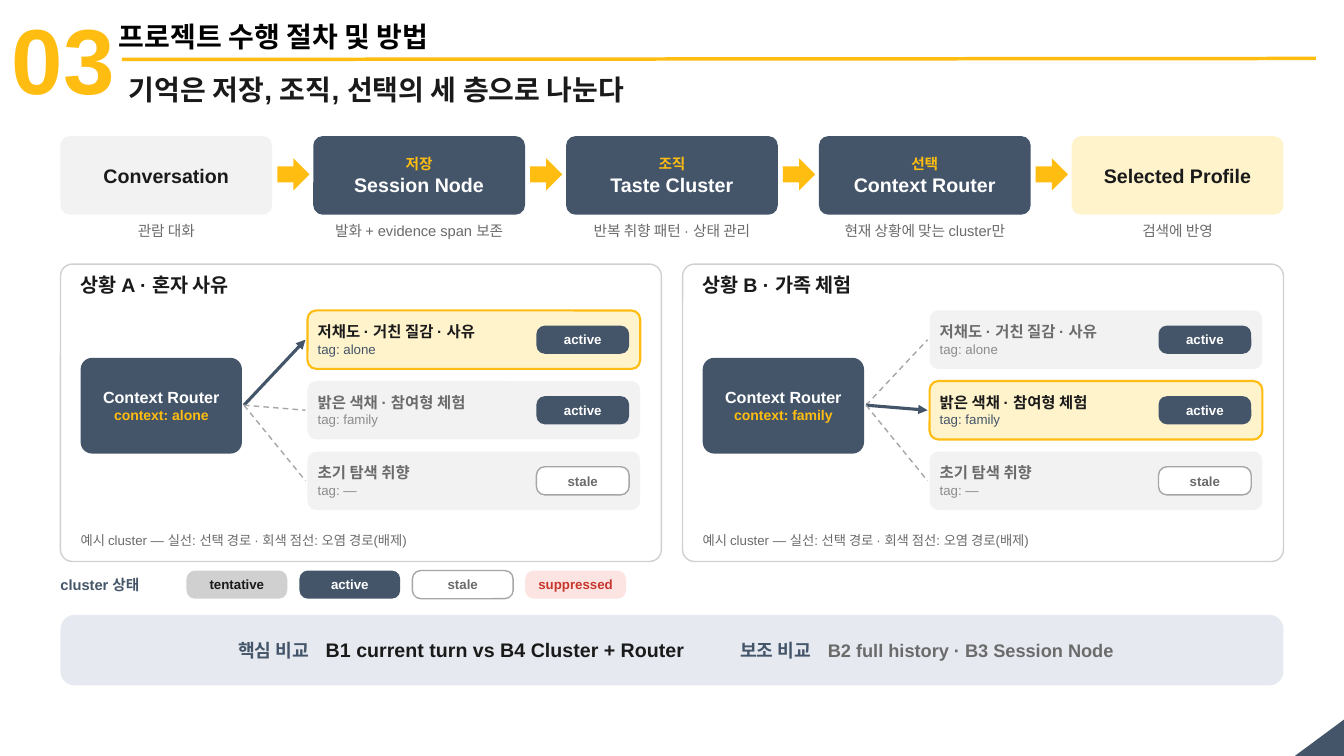
"""Builds the slide on the three memory layers: storing, organising and selecting."""
from dataclasses import dataclass

from lxml import etree
from pptx import Presentation
from pptx.dml.color import RGBColor
from pptx.enum.dml import MSO_LINE
from pptx.enum.shapes import MSO_CONNECTOR, MSO_SHAPE
from pptx.enum.text import MSO_ANCHOR, MSO_AUTO_SIZE, PP_ALIGN
from pptx.oxml.ns import qn
from pptx.util import Inches, Pt

ROUND, ARROW, CORNER = MSO_SHAPE.ROUNDED_RECTANGLE, MSO_SHAPE.RIGHT_ARROW, MSO_SHAPE.RIGHT_TRIANGLE
STRAIGHT, DASH, NO_FIT = MSO_CONNECTOR.STRAIGHT, MSO_LINE.DASH, MSO_AUTO_SIZE.NONE
TOP, MIDDLE = MSO_ANCHOR.TOP, MSO_ANCHOR.MIDDLE
LEFT, CENTER = PP_ALIGN.LEFT, PP_ALIGN.CENTER


@dataclass(frozen=True)
class Theme:
    """Colours, font and type sizes."""
    font: str = "Arial"
    black: str = "000000"
    ink: str = "1A1A1A"
    navy: str = "445569"
    gold: str = "FFBD11"
    cream: str = "FFF3CC"
    white: str = "FFFFFF"
    pale: str = "F2F2F2"
    border: str = "D0D0D0"
    rule: str = "A6A6A6"
    muted: str = "6B6B6B"
    faint: str = "8C8C8C"
    blush: str = "FBE4E1"
    red: str = "C8372D"
    mist: str = "E6EAF0"
    number: float = 66
    title: float = 20
    heading: float = 14
    compare: float = 13
    router: float = 11.5
    cluster: float = 11
    caption: float = 10.5
    context: float = 10
    small: float = 9.5


T = Theme()

NUMBER = "03"
TITLE = "프로젝트 수행 절차 및 방법"
SUBTITLE = "기억은 저장, 조직, 선택의 세 층으로 나눈다"
STEPS = [
    ("", "Conversation", "관람 대화", T.pale, T.ink),
    ("저장", "Session Node", "발화 + evidence span 보존", T.navy, T.white),
    ("조직", "Taste Cluster", "반복 취향 패턴 · 상태 관리", T.navy, T.white),
    ("선택", "Context Router", "현재 상황에 맞는 cluster만", T.navy, T.white),
    ("", "Selected Profile", "검색에 반영", T.cream, T.ink),
]
SITUATIONS = [("상황 A · 혼자 사유", "alone"), ("상황 B · 가족 체험", "family")]
CLUSTERS = [
    ("저채도 · 거친 질감 · 사유", "alone", "active"),
    ("밝은 색채 · 참여형 체험", "family", "active"),
    ("초기 탐색 취향", "—", "stale"),
]
PANEL_NOTE = "예시 cluster — 실선: 선택 경로 · 회색 점선: 오염 경로(배제)"
LEGEND = "cluster 상태"
STATES = {
    "tentative": (T.border, T.ink, None),
    "active": (T.navy, T.white, None),
    "stale": (T.white, T.muted, (T.rule, 1)),
    "suppressed": (T.blush, T.red, None),
}
COMPARISON = [
    ("핵심 비교\t", T.compare, T.navy),
    ("B1 current turn vs B4 Cluster + Router\t", T.heading, T.ink),
    ("보조 비교\t", T.compare, T.navy),
    ("B2 full history · B3 Session Node", T.compare, T.muted),
]
COMPARISON_TABS = (0.87, 4.98, 5.85)

MARGIN, CONTENT_W = 0.6, 12.13
STEP_Y, STEP_W, STEP_H = 1.35, 2.1, 0.78
STEP_PITCH = (CONTENT_W - STEP_W) / (len(STEPS) - 1)
PANEL_Y, PANEL_W, PANEL_H = 2.62, 5.96, 2.95
PANEL_PITCH = CONTENT_W - PANEL_W
CLUSTER_Y, CLUSTER_W, CLUSTER_H, CLUSTER_PITCH = 3.08, 3.3, 0.58, 0.7
STATE_X, STATE_W, STATE_PITCH = 1.85, 1, 1.12


def rgb(value):
    return RGBColor.from_string(value)


def write(s, lines, align=LEFT, anchor=TOP, inset=(0, 0.03)):
    """Write lines of (text, size, colour, bold) into a shape."""
    tf = s.text_frame
    tf.word_wrap, tf.auto_size, tf.vertical_anchor = True, NO_FIT, anchor
    tf.margin_left = tf.margin_right = Inches(inset[0])
    tf.margin_top = tf.margin_bottom = Inches(inset[1])
    tf.text = "\n".join(line[0] for line in lines)
    for p, (_, size, color, bold) in zip(tf.paragraphs, lines):
        p.alignment = align
        for r in p.runs:
            style(r, size, color, bold)


def style(r, size, color, bold=True):
    r.font.name, r.font.size, r.font.bold = T.font, Pt(size), bold
    r.font.color.rgb = rgb(color)


def add_text(s, box, lines, **options):
    tb = s.shapes.add_textbox(*map(Inches, box))
    write(tb, lines, **options)


def add_box(s, box, fill, kind=ROUND, radius=None, line=None, lines=()):
    sp = s.shapes.add_shape(kind, *map(Inches, box))
    sp.shadow.inherit = False
    sp.fill.solid()
    sp.fill.fore_color.rgb = rgb(fill)
    if radius is not None:
        sp.adjustments[0] = radius
    if line:
        sp.line.color.rgb, sp.line.width = rgb(line[0]), Pt(line[1])
    else:
        sp.line.fill.background()
    if lines:
        write(sp, lines, CENTER, MIDDLE, (0.04, 0.03))
    return sp


def add_line(s, start, end, color, width, dash=False, head=False):
    c = s.shapes.add_connector(STRAIGHT, *map(Inches, start + end))
    c.line.color.rgb, c.line.width = rgb(color), Pt(width)
    if dash:
        c.line.dash_style = DASH
    if head:
        etree.SubElement(c.line._get_or_add_ln(), qn("a:tailEnd"), type="triangle")
    etree.SubElement(c._element.spPr, qn("a:effectLst"))


def add_state(s, x, y, width, state):
    fill, color, line = STATES[state]
    add_box(s, (x, y, width, 0.28), fill, radius=0.3, line=line, lines=[(state, T.small, color, True)])


def add_header(s):
    add_box(s, (12.9, 7.07, 0.37, 0.5), T.navy, CORNER).rotation = 270
    add_text(s, (0.02, -0.03, 1.27, 1.21), [(NUMBER, T.number, T.gold, True)], inset=(0.1, 0.05))
    title = s.shapes.title
    title.left, title.top, title.width, title.height = map(Inches, (1.08, 0.14, 7, 0.44))
    write(title, [(TITLE, T.title, T.black, True)], inset=(0.1, 0.05))
    add_line(s, (1.21, 0.59), (13.05, 0.58), T.gold, 2.5)
    add_text(s, (1.18, 0.67, 11.9, 0.34), [(SUBTITLE, T.title, T.ink, True)], inset=(0.1, 0.05))


def add_steps(s):
    for i, (layer, name, caption, fill, color) in enumerate(STEPS):
        x = MARGIN + i * STEP_PITCH
        lines = [(layer, T.caption, T.gold, True)] if layer else []
        lines.append((name, T.heading, color, True))
        add_box(s, (x, STEP_Y, STEP_W, STEP_H), fill, radius=0.12, lines=lines)
        add_text(s, (x, 2.17, STEP_W, 0.3), [(caption, T.caption, T.muted, False)], align=CENTER)
        if i < len(STEPS) - 1:
            add_box(s, (x + STEP_W + 0.05, 1.57, 0.32, 0.32), T.gold, ARROW)


def add_panel(s, x, heading, context):
    add_box(s, (x, PANEL_Y, PANEL_W, PANEL_H), T.white, radius=0.04, line=(T.border, 1))
    add_text(s, (x + 0.2, 2.68, 4, 0.38), [(heading, T.heading, T.ink, True)])
    add_box(s, (x + 0.2, 3.55, 1.6, 0.95), T.navy, radius=0.12, lines=[
        ("Context Router", T.router, T.white, True), (f"context: {context}", T.context, T.gold, True)])
    for i, (name, tag, state) in enumerate(CLUSTERS):
        y = CLUSTER_Y + i * CLUSTER_PITCH
        chosen = tag == context
        fill, line = (T.cream, (T.gold, 1.5)) if chosen else (T.pale, None)
        name_color, tag_color = (T.ink, T.navy) if chosen else (T.muted, T.faint)
        add_box(s, (x + 2.45, y, CLUSTER_W, CLUSTER_H), fill, radius=0.15, line=line)
        add_text(s, (x + 2.55, y, 2.15, CLUSTER_H), [
            (name, T.cluster, name_color, True), (f"tag: {tag}", T.small, tag_color, False)], anchor=MIDDLE)
        add_state(s, x + 4.72, y + 0.15, 0.92, state)
        color, width = (T.navy, 2.25) if chosen else (T.rule, 1)
        add_line(s, (x + 1.82, 4.02), (x + 2.43, y + CLUSTER_H / 2), color, width, not chosen, chosen)
    add_text(s, (x + 0.2, 5.25, 5.6, 0.28), [(PANEL_NOTE, T.small, T.muted, False)])


def add_legend(s):
    add_text(s, (MARGIN, 5.65, 1.6, 0.3), [(LEGEND, T.caption, T.navy, True)], anchor=MIDDLE)
    for i, state in enumerate(STATES):
        add_state(s, STATE_X + i * STATE_PITCH, 5.66, STATE_W, state)


def add_comparison(s):
    tf = add_box(s, (MARGIN, 6.1, CONTENT_W, 0.7), T.mist, radius=0.2).text_frame
    tf.margin_left, tf.margin_right, tf.vertical_anchor = Inches(1.72), Inches(0.2), MIDDLE
    p = tf.paragraphs[0]
    p.alignment = LEFT
    tabs = etree.SubElement(p._p.get_or_add_pPr(), qn("a:tabLst"))
    for pos in COMPARISON_TABS:
        etree.SubElement(tabs, qn("a:tab"), pos=str(Inches(pos)), algn="l")
    for text, size, color in COMPARISON:
        r = p.add_run()
        r.text = text
        style(r, size, color)


def main():
    prs = Presentation()
    prs.slide_width, prs.slide_height = Inches(13.33), Inches(7.5)
    s = prs.slides.add_slide(prs.slide_layouts[5])
    add_header(s)
    add_steps(s)
    for i, (heading, context) in enumerate(SITUATIONS):
        add_panel(s, MARGIN + i * PANEL_PITCH, heading, context)
    add_legend(s)
    add_comparison(s)
    prs.save("out.pptx")


if __name__ == "__main__":
    main()
